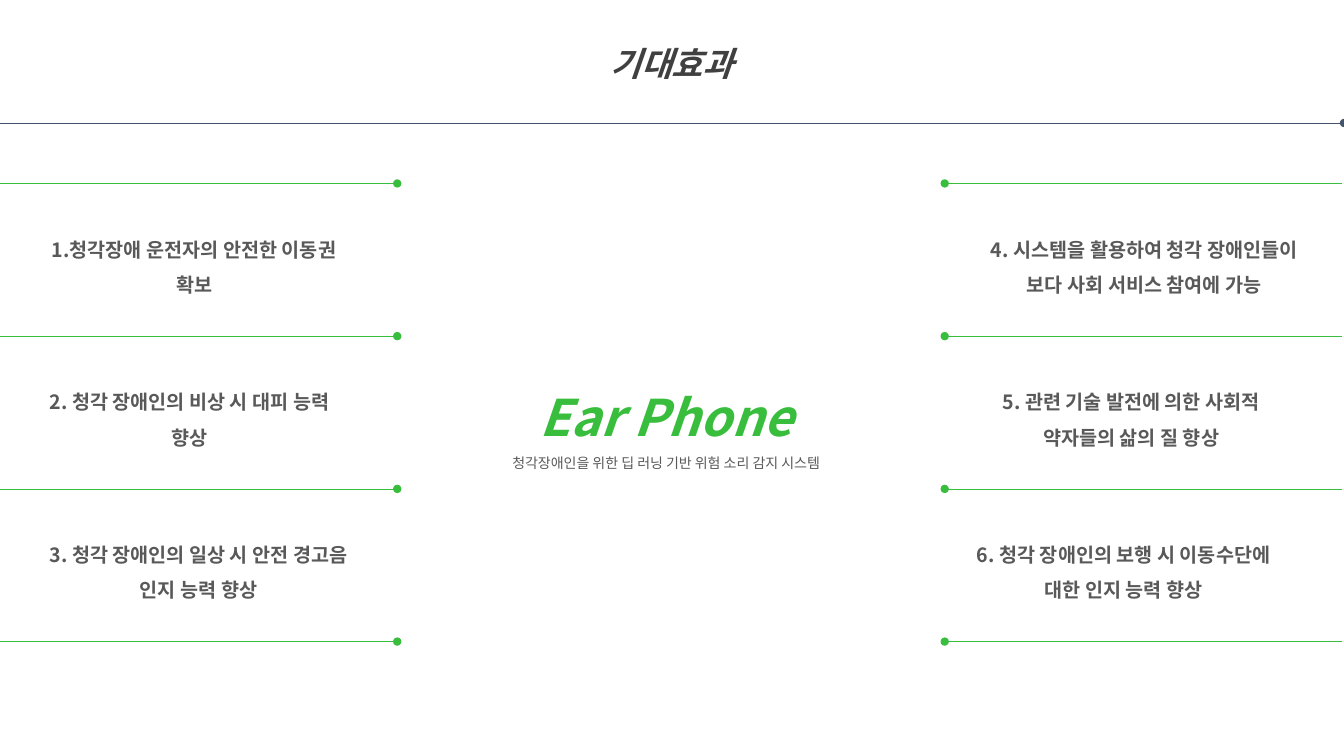
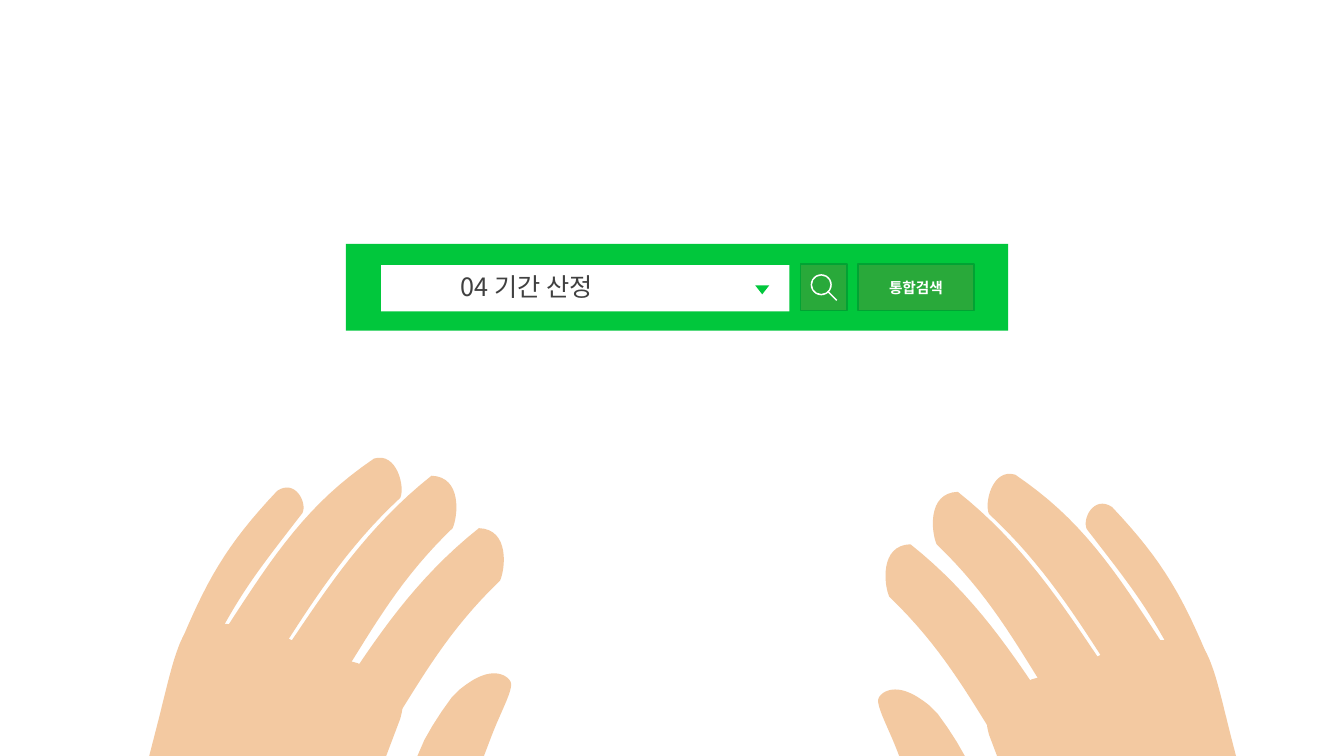
from lxml import etree
from pptx import Presentation
from pptx.dml.color import RGBColor
from pptx.enum.shapes import MSO_CONNECTOR, MSO_SHAPE as SHP
from pptx.enum.text import MSO_ANCHOR, MSO_AUTO_SIZE, PP_ALIGN
from pptx.oxml.ns import qn
from pptx.util import Inches, Pt

FONT = "Noto Sans CJK KR"
WHITE = RGBColor(0xFF, 0xFF, 0xFF)
DARK = RGBColor(0x40, 0x40, 0x40)
GRAY = RGBColor(0x59, 0x59, 0x59)
NAVY = RGBColor(0x44, 0x54, 0x6A)
GREEN = RGBColor(0x39, 0xBD, 0x3D)
BAR = RGBColor(0x01, 0xC7, 0x3C)
BUTTON = RGBColor(0x29, 0xA9, 0x3A)
EDGE = RGBColor(0x01, 0xA3, 0x33)
SKIN = RGBColor(0xF3, 0xC9, 0xA1)

TITLE = dict(size=Pt(24), bold=True, italic=True)
ITEM = dict(size=Pt(14), bold=True)
BRAND = dict(size=Pt(36), bold=True, italic=True)
TAGLINE = dict(size=Pt(10))
SEARCH = dict(size=Pt(18), bold=False)
LABEL = dict(size=Pt(10.5), bold=True)


def write(p, text, color, fmt, align=PP_ALIGN.CENTER, spacing=1.5):
    p.alignment, p.line_spacing = align, spacing
    r = p.add_run()
    r.text = text
    r.font.name = FONT
    r.font.color.rgb = color
    for key, value in fmt.items():
        setattr(r.font, key, value)
    etree.SubElement(r.font._element, qn("a:ea"), typeface=FONT)


def add_line(shapes, x1, y1, x2, y2, color, width=0.5, dot=True):
    c = shapes.add_connector(MSO_CONNECTOR.STRAIGHT, *map(Inches, (x1, y1, x2, y2)))
    c.line.color.rgb = color
    c.line.width = Pt(width)
    spPr = c._element.spPr
    if dot:
        etree.SubElement(spPr.find(qn("a:ln")), qn("a:headEnd"), type="oval")
    etree.SubElement(spPr, qn("a:effectLst"))


prs = Presentation()
prs.slide_width, prs.slide_height = Inches(13.33), Inches(7.5)
title_only = prs.slide_layouts[5]

# Slide 1: expected effects
s = prs.slides.add_slide(title_only)
sp = s.shapes.title
sp.left, sp.top, sp.width, sp.height = map(Inches, (0, 0, 13.33, 1.06))
sp.fill.solid()
sp.fill.fore_color.rgb = WHITE
tf = sp.text_frame
tf.vertical_anchor, tf.auto_size = MSO_ANCHOR.MIDDLE, MSO_AUTO_SIZE.NONE
write(tf.paragraphs[0], "기대효과", DARK, TITLE)
add_line(s.shapes, 13.33, 1.22, 0, 1.22, NAVY)

# Divider lines in both columns
TOP, PITCH = 1.82, 1.515
for row in range(4):
    y = TOP + row * PITCH
    add_line(s.shapes, 3.94, y, 0, y, GREEN)
    add_line(s.shapes, 9.37, y, 13.31, y, GREEN)

# Items: row, left, width, text
items = [
    (0, 0.22, 3.41, "1.청각장애 운전자의 안전한 이동권 확보"),
    (1, 0.22, 3.32, "2. 청각 장애인의 비상 시 대피 능력 향상"),
    (2, 0.22, 3.5, "3. 청각 장애인의 일상 시 안전 경고음 인지 능력 향상"),
    (0, 9.59, 3.52, "4. 시스템을 활용하여 청각 장애인들이 보다 사회 서비스 참여에 가능"),
    (1, 9.59, 3.26, "5. 관련 기술 발전에 의한 사회적 약자들의 삶의 질 향상"),
    (2, 9.44, 3.41, "6. 청각 장애인의 보행 시 이동수단에 대한 인지 능력 향상"),
]
for row, x, w, text in items:
    y = TOP + row * PITCH + 0.37
    tf = s.shapes.add_textbox(*map(Inches, (x, y, w, 0.76))).text_frame
    tf.word_wrap = True
    write(tf.paragraphs[0], text, GRAY, ITEM)

# Centre name and tagline
tf = s.shapes.add_textbox(*map(Inches, (3.36, 3.48, 6.49, 1.23))).text_frame
tf.word_wrap = True
write(tf.paragraphs[0], "Ear Phone", GREEN, BRAND)
write(tf.add_paragraph(), "청각장애인을 위한 딥 러닝 기반 위험 소리 감지 시스템", GRAY, TAGLINE)

# Slide 2: section page with search bar
s = prs.slides.add_slide(title_only)

# Left hand outlines: pairs are line points, sixes are Bezier curves
hand = [
    [(4.28, 4.72), (3.64, 5.23, 3.26, 5.81, 2.85, 6.42), (3.39, 6.72),
     (3.72, 6.2, 3.97, 5.74, 4.49, 5.24), (4.54, 5.13, 4.59, 4.73, 4.28, 4.72)],
    [(3.71, 4.55), (3.06, 4.99, 2.73, 5.48, 2.24, 6.24), (2.76, 6.5),
     (3.09, 5.99, 3.43, 5.44, 3.97, 4.94), (4.02, 4.84, 3.94, 4.48, 3.71, 4.55)],
    [(4.75, 5.24), (4.11, 5.75, 3.73, 6.33, 3.33, 6.94), (3.86, 7.24),
     (4.19, 6.72, 4.44, 6.26, 4.96, 5.76), (5.01, 5.65, 5.06, 5.25, 4.75, 5.24)],
    [(2.75, 4.87), (2.23, 5.42, 2.04, 5.78, 1.77, 6.43), (2.14, 6.35),
     (2.43, 5.82, 2.56, 5.66, 3, 5.09), (3.05, 4.99, 2.93, 4.75, 2.75, 4.87)],
    # Thumb
    [(4.14, 7.5), (4.21, 7.34), (4.29, 7.2), (4.38, 7.06), (4.48, 6.92),
     (4.56, 6.84), (4.66, 6.76, 4.78, 6.68, 4.9, 6.68),
     (5, 6.68, 5.07, 6.74, 5.07, 6.79), (5.07, 6.88, 4.97, 7.06, 4.88, 7.29),
     (4.8, 7.5)],
    # Palm
    [(1.48, 7.5), (1.58, 7.11), (1.65, 6.83, 1.71, 6.57, 1.77, 6.42),
     (1.83, 6.26, 1.88, 6.22, 1.94, 6.18), (2.23, 6.19), (2.59, 6.2), (2.89, 6.35),
     (3.26, 6.46), (3.44, 6.55), (3.55, 6.58), (3.69, 6.68), (3.87, 6.88),
     (3.96, 6.95), (4.01, 6.98, 3.99, 7.05, 3.97, 7.13), (3.83, 7.5)],
]
STEPS = 16
for mirrored in (True, False):
    for outline in hand:
        pts = [outline[0]]
        for seg in outline[1:]:
            if len(seg) == 2:
                pts.append(seg)
                continue
            x0, y0 = pts[-1]
            x1, y1, x2, y2, x3, y3 = seg
            for i in range(1, STEPS + 1):
                t = i / STEPS
                a, b, c, d = (1 - t) ** 3, 3 * t * (1 - t) ** 2, 3 * t * t * (1 - t), t ** 3
                pts.append((a * x0 + b * x1 + c * x2 + d * x3,
                            a * y0 + b * y1 + c * y2 + d * y3))
        if mirrored:
            pts = [(13.78 - x, y + 0.16) for x, y in pts]
        pts = [(Inches(x), Inches(y)) for x, y in pts]
        fb = s.shapes.build_freeform(*pts[0])
        fb.add_line_segments(pts[1:], close=True)
        sp = fb.convert_to_shape()
        sp.shadow.inherit = False
        sp.fill.solid()
        sp.fill.fore_color.rgb = SKIN
        sp.line.fill.background()

# Search bar: parent, shape, box, fill, edge, text
icon = s.shapes.add_group_shape()
parts = [
    (s, SHP.RECTANGLE, (3.43, 2.42, 6.57, 0.86), BAR, None, ""),
    (s, SHP.RECTANGLE, (3.78, 2.63, 4.05, 0.46), WHITE, None, ""),
    (s, SHP.RECTANGLE, (8.51, 2.62, 1.15, 0.46), BUTTON, EDGE, "통합검색"),
    (s, SHP.ISOSCELES_TRIANGLE, (7.49, 2.83, 0.14, 0.09), BAR, None, ""),
    (icon, SHP.RECTANGLE, (7.94, 2.62, 0.46, 0.46), BUTTON, EDGE, ""),
    (icon, SHP.DONUT, (8.04, 2.72, 0.21, 0.21), WHITE, None, ""),
]
for parent, kind, box, fill, edge, text in parts:
    sp = parent.shapes.add_shape(kind, *map(Inches, box))
    sp.shadow.inherit = False
    sp.fill.solid()
    sp.fill.fore_color.rgb = fill
    if edge:
        sp.line.color.rgb, sp.line.width = edge, Pt(1)
    else:
        sp.line.fill.background()
    if kind == SHP.DONUT:
        sp.adjustments[0] = 0.066
    if kind == SHP.ISOSCELES_TRIANGLE:
        sp.rotation = 180
    if text:
        tf = sp.text_frame
        tf.vertical_anchor = MSO_ANCHOR.MIDDLE
        write(tf.paragraphs[0], text, WHITE, LABEL, spacing=1)
add_line(icon.shapes, 8.21, 2.89, 8.3, 2.98, WHITE, width=1, dot=False)

# Section title and icon go in front of the bar
sp = s.shapes.title
sp.left, sp.top, sp.width, sp.height = map(Inches, (4.47, 2.64, 2.52, 0.4))
tf = sp.text_frame
tf.vertical_anchor, tf.auto_size = MSO_ANCHOR.TOP, MSO_AUTO_SIZE.NONE
write(tf.paragraphs[0], "04 기간 산정", DARK, SEARCH, PP_ALIGN.LEFT, 1)
for front in (icon, sp):
    s.shapes._spTree.append(front._element)

prs.save("out.pptx")
